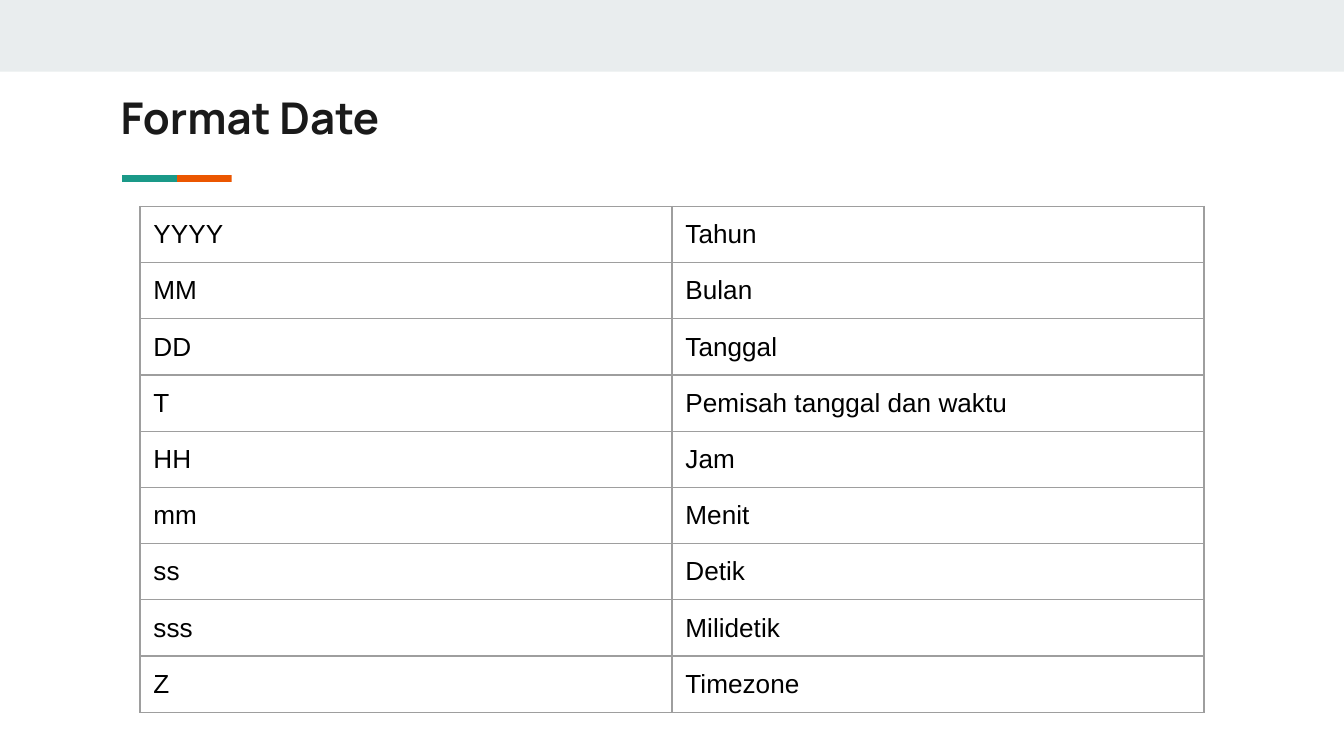
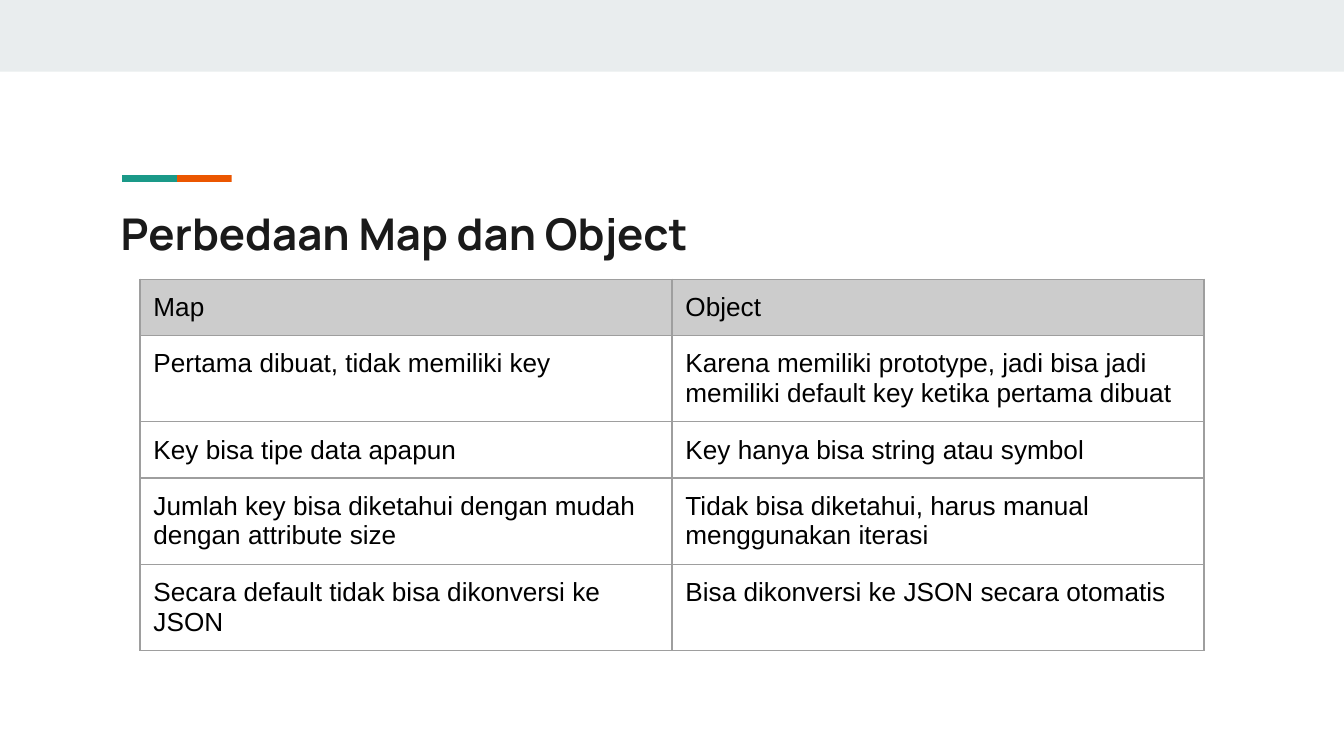
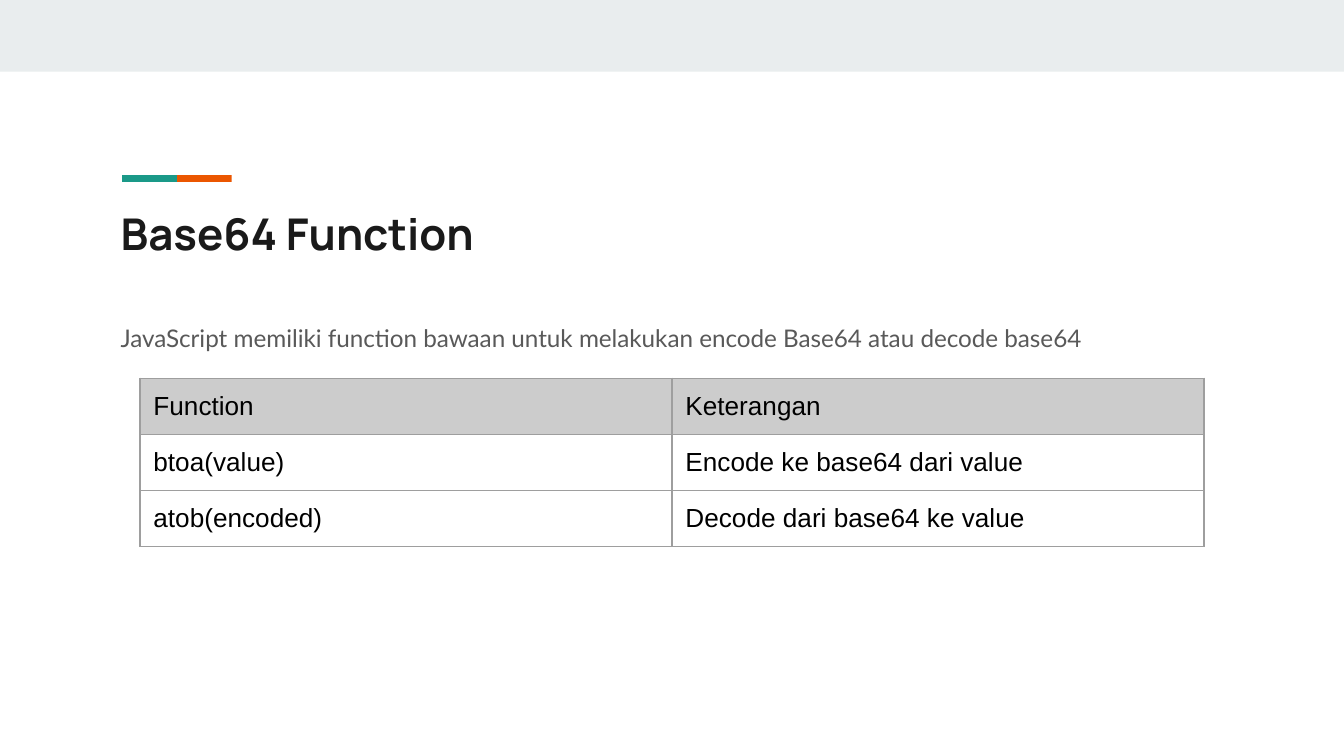
import pptx
import pptx.dml.color
import pptx.enum.shapes
import pptx.enum.text
import pptx.oxml
import pptx.oxml.ns
import pptx.util

Pt = pptx.util.Pt
INSET, BOTTOM_INSET = Pt(7.2), Pt(7.17)
TEXT_LEFT, TEXT_WIDTH, TITLE_HEIGHT = Pt(57.5), Pt(605.5), Pt(42.5)
TABLE_LEFT, COLUMN_WIDTH = Pt(75), Pt(285)
ONE_LINE, TWO_LINES = 30.1, 46.3
ACCENT_LENGTH, ACCENT_THICKNESS = 41.9, 1.98
DRAWING = "http://schemas.openxmlformats.org/drawingml/2006/main"


def color(value):
    return pptx.dml.color.RGBColor.from_string(value)


def style_text(text_frame, font_name, size, text_color, bold=False):
    text_frame.word_wrap = True
    text_frame.auto_size = pptx.enum.text.MSO_AUTO_SIZE.NONE
    text_frame.vertical_anchor = pptx.enum.text.MSO_ANCHOR.TOP
    text_frame.margin_left = text_frame.margin_right = INSET
    text_frame.margin_top = text_frame.margin_bottom = INSET
    paragraph = text_frame.paragraphs[0]
    paragraph.alignment = pptx.enum.text.PP_ALIGN.LEFT
    paragraph.font.name = font_name
    paragraph.font.size = Pt(size)
    paragraph.font.bold = bold
    paragraph.font.color.rgb = color(text_color)
    return paragraph


slides = [
    {
        "title": "Format Date", "title_top": 41.4, "table_top": 110.6, "header": False,
        "rows": [
            ("YYYY", "Tahun"),
            ("MM", "Bulan"),
            ("DD", "Tanggal"),
            ("T", "Pemisah tanggal dan waktu"),
            ("HH", "Jam"),
            ("mm", "Menit"),
            ("ss", "Detik"),
            ("sss", "Milidetik"),
            ("Z", "Timezone"),
        ],
    },
    {
        "title": "Perbedaan Map dan Object", "title_top": 103.5, "table_top": 149.6, "header": True,
        "rows": [
            ("Map", "Object"),
            ("Pertama dibuat, tidak memiliki key",
             "Karena memiliki prototype, jadi bisa jadi memiliki default key ketika pertama dibuat"),
            ("Key bisa tipe data apapun", "Key hanya bisa string atau symbol"),
            ("Jumlah key bisa diketahui dengan mudah dengan attribute size",
             "Tidak bisa diketahui, harus manual menggunakan iterasi"),
            ("Secara default tidak bisa dikonversi ke JSON", "Bisa dikonversi ke JSON secara otomatis"),
        ],
    },
    {
        "title": "Base64 Function", "title_top": 103.5, "table_top": 202.6, "header": True,
        "body": "JavaScript memiliki function bawaan untuk melakukan encode Base64 atau decode base64",
        "rows": [
            ("Function", "Keterangan"),
            ("btoa(value)", "Encode ke base64 dari value"),
            ("atob(encoded)", "Decode dari base64 ke value"),
        ],
    },
]

presentation = pptx.Presentation()
presentation.slide_width, presentation.slide_height = Pt(720), Pt(405)
layout = presentation.slide_layouts[5]
for unused_layout in list(presentation.slide_layouts):
    if unused_layout.name != layout.name:
        presentation.slide_layouts.remove(unused_layout)
for parent in (presentation.slide_master, layout):
    for placeholder in list(parent.placeholders):
        if placeholder.placeholder_format.type == pptx.enum.shapes.PP_PLACEHOLDER.TITLE:
            placeholder.left, placeholder.top = TEXT_LEFT, Pt(103.5)
            placeholder.width, placeholder.height = TEXT_WIDTH, TITLE_HEIGHT
        else:
            placeholder._element.getparent().remove(placeholder._element)

for slide_number, content in enumerate(slides):
    slide = presentation.slides.add_slide(layout)

    if slide_number == 0:
        rectangle = pptx.enum.shapes.MSO_SHAPE.RECTANGLE
        band = slide.shapes.add_shape(rectangle, 0, 0, Pt(720), Pt(38.4))
        accents = slide.shapes.add_group_shape()
        decorations = [(band, "E9EDEE")]
        for step, fill in ((1, "EB5600"), (0, "1A9988")):
            accent = accents.shapes.add_shape(
                rectangle,
                Pt((step + 0.5) * ACCENT_LENGTH - ACCENT_THICKNESS / 2),
                Pt((ACCENT_THICKNESS - ACCENT_LENGTH) / 2),
                Pt(ACCENT_THICKNESS), Pt(ACCENT_LENGTH))
            accent.rotation = 270
            decorations.append((accent, fill))
        for shape, fill in decorations:
            shape.shadow.inherit = False
            shape.fill.solid()
            shape.fill.fore_color.rgb = color(fill)
            shape.line.fill.background()

        accents.left, accents.top = Pt(65.4), Pt(93.8)
        accents.width, accents.height = Pt(58.72), Pt(3.6)
        child_offset = accents._element.find(".//" + pptx.oxml.ns.qn("a:chOff"))
        child_offset.set("x", "0")
        child_offset.set("y", "0")
        child_extent = accents._element.find(".//" + pptx.oxml.ns.qn("a:chExt"))
        child_extent.set("cx", str(Pt(2 * ACCENT_LENGTH)))
        child_extent.set("cy", str(Pt(ACCENT_THICKNESS)))
        for position, decoration in enumerate((band, accents)):
            layout.shapes._spTree.insert(2 + position, decoration._element)

    title = slide.shapes.title
    title.left, title.top = TEXT_LEFT, Pt(content["title_top"])
    title.width, title.height = TEXT_WIDTH, TITLE_HEIGHT
    title.text_frame.text = content["title"]
    style_text(title.text_frame, "Manrope", 23.4, "1A1A1A", bold=True)

    if "body" in content:
        body = slide.shapes.add_textbox(TEXT_LEFT, Pt(163.4), TEXT_WIDTH, Pt(178))
        body.text_frame.text = content["body"]
        paragraph = style_text(body.text_frame, "Lato", 13, "595959")
        paragraph.line_spacing = 1.15
        paragraph.space_after = Pt(12)

    rows = content["rows"]
    heights = [TWO_LINES if max(map(len, row)) > 40 else ONE_LINE for row in rows]
    table = slide.shapes.add_table(
        len(rows), 2, TABLE_LEFT, Pt(content["table_top"]), 2 * COLUMN_WIDTH, Pt(sum(heights))).table
    table.first_row = content["header"]
    table.horz_banding = False
    for column in table.columns:
        column.width = COLUMN_WIDTH
    for row_number, (row, height) in enumerate(zip(rows, heights)):
        table.rows[row_number].height = Pt(height)
        for column_number, text in enumerate(row):
            cell = table.cell(row_number, column_number)
            cell.text = text
            style_text(cell.text_frame, "Arial", 14, "000000")
            cell.margin_left = cell.margin_right = cell.margin_top = INSET
            cell.margin_bottom = BOTTOM_INSET
            cell_properties = cell._tc.get_or_add_tcPr()
            for side in ("lnL", "lnR", "lnT", "lnB"):
                cell_properties.append(pptx.oxml.parse_xml(
                    f'<a:{side} xmlns:a="{DRAWING}" w="{Pt(0.75)}"><a:solidFill>'
                    f'<a:srgbClr val="9E9E9E"/></a:solidFill></a:{side}>'))
            if content["header"] and row_number == 0:
                cell.fill.solid()
                cell.fill.fore_color.rgb = color("CCCCCC")
            else:
                cell.fill.background()

presentation.save("out.pptx")
